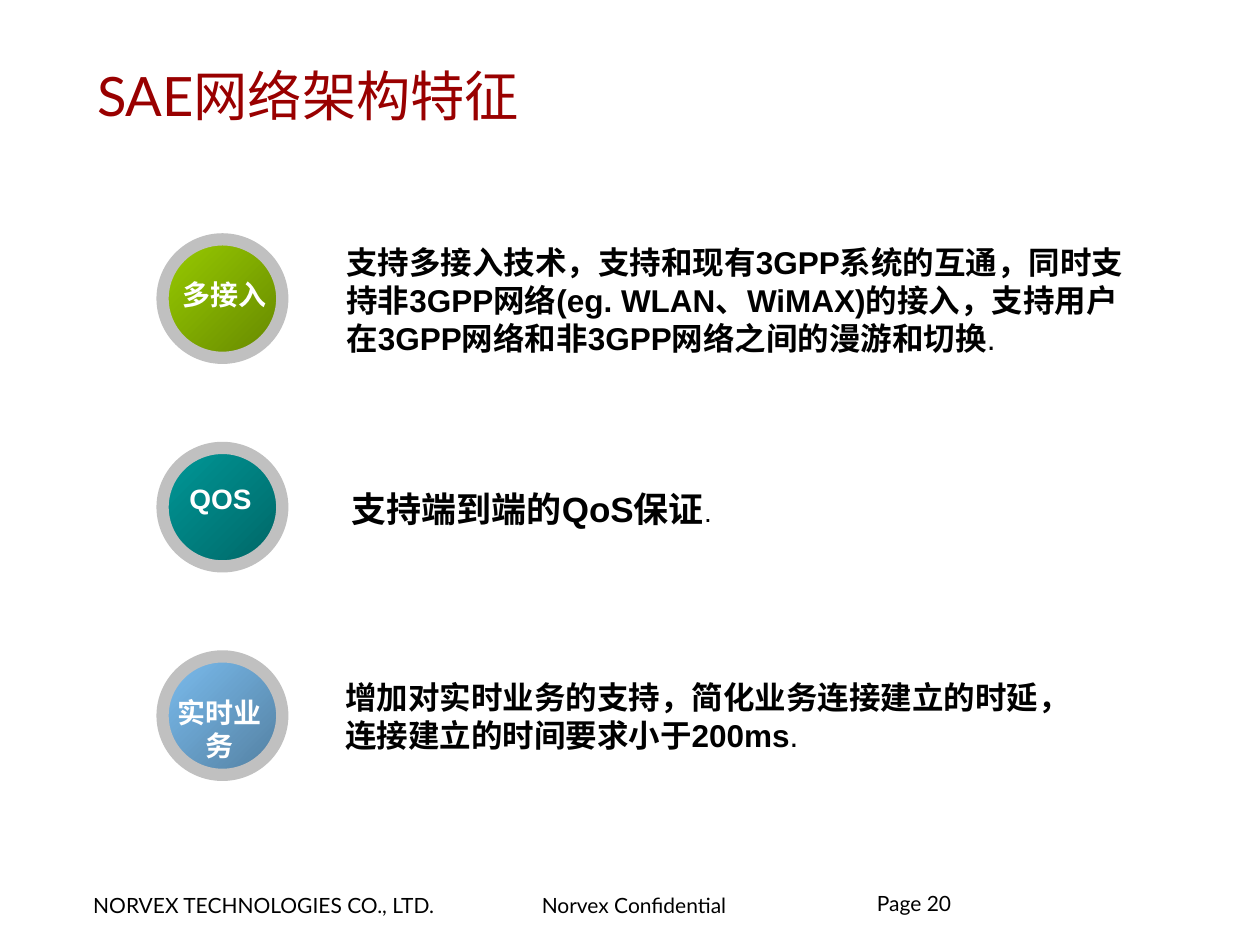
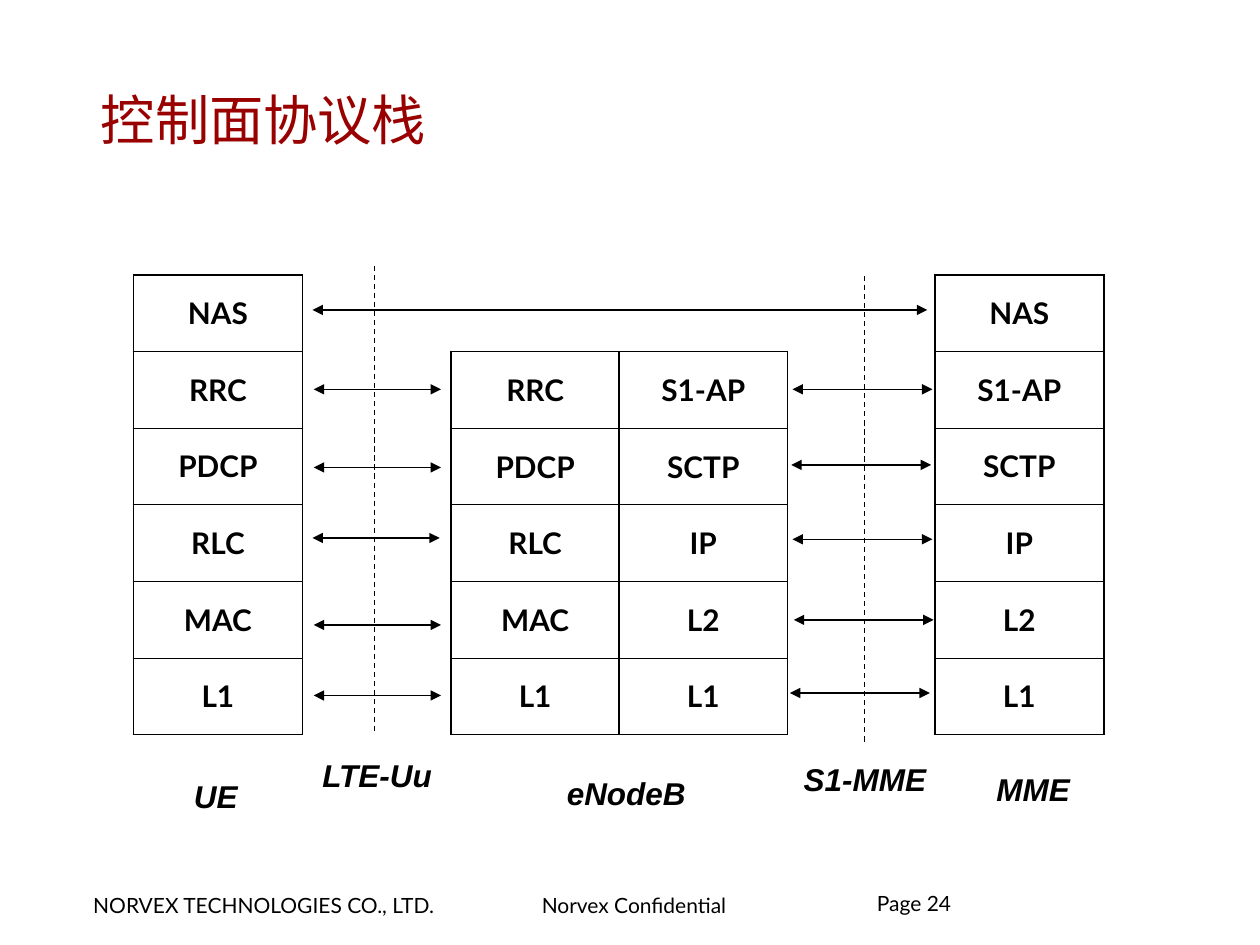
from lxml import etree
from pptx import Presentation
from pptx import util as u
from pptx.dml.color import RGBColor
from pptx.enum import dml, shapes, text
from pptx.oxml.ns import qn

COLOURS = {
    "title": "990000",
    "ink": "000000",
    "badge_text": "FFFFFF",
    "ring": "C0C0C0",
    "green": "99CC00",
    "green_dark": "658700",
    "teal": "009999",
    "teal_dark": "006565",
    "blue": "7CBEF0",
    "blue_dark": "527E9F",
}
HEADING_FONT = "Lato"
BODY_FONT = "Arial"
COMPANY = "NORVEX TECHNOLOGIES CO., LTD."
CONFIDENTIAL = "Norvex Confidential"
FOOTER_INSETS = (0.09, 0.04)
THICK, THIN = 1.08, 0.45

FEATURES = [
    {
        "badge": ("多接入", 0.05, 0.25, False),
        "gradient": ("green", "green_dark"),
        "body": (1.36, -0.02, 6.42, 1),
        "anchor": text.MSO_ANCHOR.TOP,
        "words": "支持多接入技术，支持和现有3GPP系统的互通，同时支持非3GPP网络(eg. WLAN、WiMAX)的接入，"
                 "支持用户在3GPP网络和非3GPP网络之间的漫游和切换",
        "sizes": (18, 18),
    },
    {
        "badge": ("QOS", 0.02, 0.22, True),
        "gradient": ("teal", "teal_dark"),
        "body": (1.4, 0.01, 6.28, 0.94),
        "anchor": text.MSO_ANCHOR.MIDDLE,
        "words": "支持端到端的QoS保证",
        "sizes": (20, 16),
    },
    {
        "badge": ("实时业务", 0.01, 0.26, True),
        "gradient": ("blue", "blue_dark"),
        "body": (1.35, -0.01, 6.03, 0.97),
        "anchor": text.MSO_ANCHOR.MIDDLE,
        "words": "增加对实时业务的支持，简化业务连接建立的时延，连接建立的时间要求小于200ms",
        "sizes": (18, 18),
    },
]

UE_LAYERS = ["NAS", "RRC", "PDCP", "RLC", "MAC", "L1"]
MME_LAYERS = ["NAS", "S1-AP", "SCTP", "IP", "L2", "L1"]
UU_ARROWS = [(2.49, 3.09), (2.49, 3.71), (2.48, 4.27), (2.49, 4.96), (2.49, 5.52)]
S1_ARROWS = [(6.29, 3.09), (6.28, 3.69), (6.29, 4.28), (6.3, 4.92), (6.27, 5.5)]
NODE_LABELS = [
    ("UE", 1.44, 6.12, 0.7),
    ("LTE-Uu", 2.46, 5.95, 1.25),
    ("eNodeB", 4.4, 6.09, 1.3),
    ("MME", 7.81, 6.06, 0.95),
    ("S1-MME", 6.28, 5.98, 1.35),
]


def colour(name):
    return RGBColor.from_string(COLOURS[name])


def style_run(run, size, font=BODY_FONT, ink="ink", bold=False, italic=False):
    run.font.size = u.Pt(size)
    run.font.name = font
    run.font.bold = bold
    run.font.italic = italic
    run.font.color.rgb = colour(ink)


def set_insets(frame, horizontal, vertical):
    frame.margin_left = frame.margin_right = u.Inches(horizontal)
    frame.margin_top = frame.margin_bottom = u.Inches(vertical)


def add_text(slide, box, words, size, wrap=False, insets=(0.1, 0.05), **style):
    shape = slide.shapes.add_textbox(*map(u.Inches, box))
    frame = shape.text_frame
    frame.word_wrap = wrap
    set_insets(frame, *insets)
    frame.text = words
    style_run(frame.paragraphs[0].runs[0], size, **style)
    return frame


def add_titled_slide(presentation, title, title_box, page):
    slide = presentation.slides.add_slide(presentation.slide_layouts[5])
    shape = slide.shapes.title
    shape.left, shape.top, shape.width, shape.height = map(u.Inches, title_box)
    frame = shape.text_frame
    frame.text = title
    frame.auto_size = text.MSO_AUTO_SIZE.NONE
    frame.vertical_anchor = text.MSO_ANCHOR.MIDDLE
    set_insets(frame, *FOOTER_INSETS)
    frame.paragraphs[0].alignment = text.PP_ALIGN.LEFT
    style_run(frame.paragraphs[0].runs[0], 31, HEADING_FONT, "title")
    add_footer(slide, 7.04, page)
    return slide


def add_footer(slide, top, page):
    for words, left, width in [(COMPANY, 0.65, 3.3), (CONFIDENTIAL, 4.21, 2)]:
        add_text(slide, (left, top, width, 0.29), words, 12, wrap=True,
                 insets=FOOTER_INSETS, font=HEADING_FONT)
    frame = add_text(slide, (6.96, top + 0.06, 2.29, 0.3), f"Page {page}", 12,
                     wrap=True, insets=(0, 0), font=HEADING_FONT)
    frame.paragraphs[0].line_spacing = 0.85


def add_feature(slide, left, top, feature):
    circle = slide.shapes.add_shape(
        shapes.MSO_SHAPE.FLOWCHART_CONNECTOR,
        *map(u.Inches, (left, top, 0.95, 0.94)))
    circle.shadow.inherit = False
    circle.fill.gradient()
    circle.fill.gradient_angle = 315
    for stop, name in zip(circle.fill.gradient_stops, feature["gradient"]):
        stop.color.rgb = colour(name)
    circle.line.color.rgb = colour("ring")
    circle.line.width = u.Pt(7)

    words, across, down, wrap = feature["badge"]
    badge = add_text(slide, (left + across, top + down, 0.88, 0.37), words, 16,
                     wrap=wrap, ink="badge_text", bold=True)
    badge.paragraphs[0].alignment = text.PP_ALIGN.CENTER

    across, down, width, height = feature["body"]
    size, stop_size = feature["sizes"]
    body = add_text(slide, (left + across, top + down, width, height),
                    feature["words"], size, wrap=True, bold=True)
    body.vertical_anchor = feature["anchor"]
    full_stop = body.paragraphs[0].add_run()
    full_stop.text = "."
    style_run(full_stop, stop_size)


def set_border(cell, side, points):
    properties = cell._tc.get_or_add_tcPr()
    line = etree.SubElement(properties, qn(f"a:ln{side}"), w=str(int(u.Pt(points))))
    fill = etree.SubElement(line, qn("a:solidFill"))
    etree.SubElement(fill, qn("a:srgbClr"), val=COLOURS["ink"])


def add_stack(slide, box, columns):
    row_count = len(columns[0])
    left, top, width, height = map(u.Inches, box)
    table = slide.shapes.add_table(row_count, len(columns), left, top, width, height).table
    table.first_row = table.horz_banding = False
    for row in table.rows:
        row.height = int(height / row_count)
    for column_index, layers in enumerate(columns):
        for row_index, layer in enumerate(layers):
            cell = table.cell(row_index, column_index)
            borders = {
                "L": THICK,
                "R": THICK,
                "T": THICK if row_index == 0 else THIN,
                "B": THICK if row_index == row_count - 1 else THIN,
            }
            for side, points in borders.items():
                set_border(cell, side, points)
            cell.fill.background()
            cell.text_frame.text = layer
            paragraph = cell.text_frame.paragraphs[0]
            paragraph.alignment = text.PP_ALIGN.CENTER
            paragraph.line_spacing = 1.4
            style_run(paragraph.runs[0], 17, HEADING_FONT, bold=True)


def add_line(slide, start, end):
    connector = slide.shapes.add_connector(
        shapes.MSO_CONNECTOR.STRAIGHT, *map(u.Inches, start + end))
    connector.line.color.rgb = colour("ink")
    connector.line.width = u.Pt(0.75)
    etree.SubElement(connector._element.spPr, qn("a:effectLst"))
    return connector


def add_double_arrow(slide, left, top, length):
    connector = add_line(slide, (left, top), (left + length, top))
    line = connector.line._get_or_add_ln()
    for end in ("headEnd", "tailEnd"):
        etree.SubElement(line, qn(f"a:{end}"), type="triangle")


def add_interface(slide, left, top, height):
    divider = add_line(slide, (left, top), (left, top + height))
    divider.line.dash_style = dml.MSO_LINE.DASH


def build_features_slide(presentation):
    slide = add_titled_slide(presentation, "SAE网络架构特征", (0.68, 0.13, 8.82, 1.25), 20)
    for index, feature in enumerate(FEATURES):
        add_feature(slide, 1.29, 1.9 + index * 1.655, feature)


def build_protocol_slide(presentation):
    slide = add_titled_slide(presentation, "控制面协议栈", (0.71, 0.47, 8.47, 0.95), 24)
    add_stack(slide, (1.06, 2.18, 1.34, 3.65), [UE_LAYERS])
    add_stack(slide, (7.42, 2.18, 1.34, 3.65), [MME_LAYERS])
    add_stack(slide, (3.58, 2.79, 2.67, 3.04), [UE_LAYERS[1:], MME_LAYERS[1:]])
    add_double_arrow(slide, 2.48, 2.46, 4.88)
    for arrows, length in [(UU_ARROWS, 1.01), (S1_ARROWS, 1.11)]:
        for left, top in arrows:
            add_double_arrow(slide, left, top, length)
    for words, left, top, width in NODE_LABELS:
        add_text(slide, (left, top, width, 0.4), words, 18, wrap=True,
                 bold=True, italic=True)
    add_interface(slide, 2.97, 2.11, 3.71)
    add_interface(slide, 6.86, 2.19, 3.72)


def main():
    presentation = Presentation()
    presentation.slide_width = u.Inches(10)
    presentation.slide_height = u.Inches(7.5)
    build_features_slide(presentation)
    build_protocol_slide(presentation)
    presentation.save("out.pptx")


if __name__ == "__main__":
    main()
